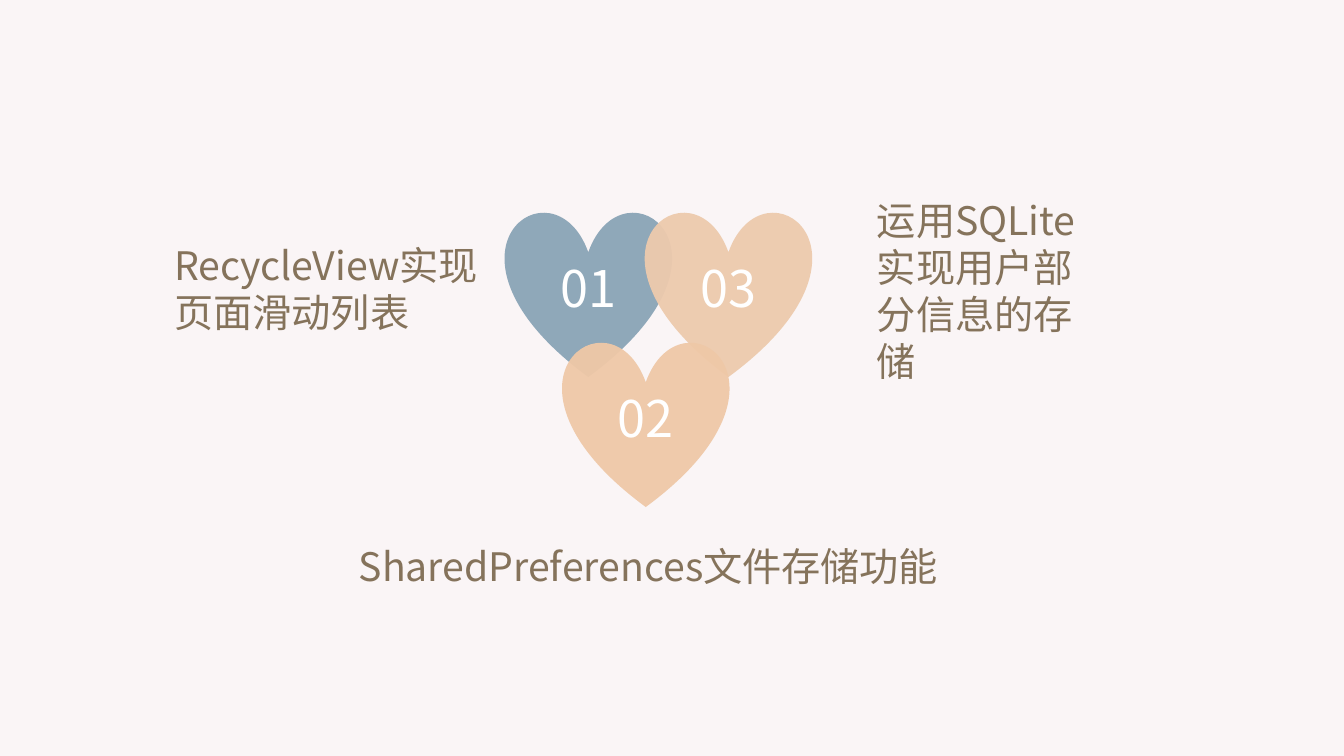
"""Build a slide with three overlapping hearts and the storage feature beside each."""
from lxml.etree import SubElement
from pptx import Presentation
from pptx.dml.color import RGBColor
from pptx.enum.shapes import MSO_SHAPE
from pptx.enum.text import MSO_ANCHOR, PP_ALIGN
from pptx.oxml.ns import qn
from pptx.util import Inches, Pt

BACKGROUND = RGBColor(0xFA, 0xF5, 0xF6)
BLUE = RGBColor(0x8A, 0xA4, 0xB6)
SAND = RGBColor(0xED, 0xCA, 0xAD)
PEACH = RGBColor(0xEF, 0xC8, 0xA7)
WHITE = RGBColor(0xFF, 0xFF, 0xFF)
BROWN = RGBColor(0x85, 0x73, 0x5B)

FONT = "Noto Sans CJK SC"
HEART_SIZE = 1.65
HEART_OPACITY = 95
HEARTS = [
    ("01", 5.01, 2.09, BLUE),
    ("03", 6.4, 2.09, SAND),
    ("02", 5.58, 3.38, PEACH),
]
FEATURES = [
    ("RecycleView实现页面滑动列表", 1.63, 2.34, 3.38, 1.04),
    ("运用SQLite实现用户部分信息的存储", 8.6, 1.9, 2.46, 1.99),
    ("SharedPreferences文件存储功能", 3.46, 5.33, 6.98, 2.01),
]


def write(shape, text, size, color, align, anchor):
    frame = shape.text_frame
    frame.word_wrap = True
    frame.vertical_anchor = anchor
    para = frame.paragraphs[0]
    para.text = text
    para.alignment = align
    para.font.size = Pt(size)
    para.font.color.rgb = color
    para.font.name = FONT
    defaults = para._p.pPr.find(qn("a:defRPr"))
    SubElement(defaults, qn("a:ea")).set("typeface", FONT)


def add_heart(page, number, left, top, color):
    heart = page.shapes.add_shape(
        MSO_SHAPE.HEART, *map(Inches, (left, top, HEART_SIZE, HEART_SIZE)))
    heart.shadow.inherit = False
    heart.fill.solid()
    heart.fill.fore_color.rgb = color
    fill_color = heart._element.spPr.find(qn("a:solidFill"))[0]
    SubElement(fill_color, qn("a:alpha")).set("val", str(HEART_OPACITY * 1000))
    heart.line.fill.background()
    write(heart, number, 36, WHITE, PP_ALIGN.CENTER, MSO_ANCHOR.MIDDLE)


def main():
    deck = Presentation()
    deck.slide_width, deck.slide_height = Inches(13.33), Inches(7.5)
    page = deck.slides.add_slide(deck.slide_layouts[6])
    page.background.fill.solid()
    page.background.fill.fore_color.rgb = BACKGROUND
    for heart in HEARTS:
        add_heart(page, *heart)
    for text, *place in FEATURES:
        box = page.shapes.add_textbox(*map(Inches, place))
        write(box, text, 28, BROWN, PP_ALIGN.LEFT, MSO_ANCHOR.TOP)
    deck.save("out.pptx")


if __name__ == "__main__":
    main()
